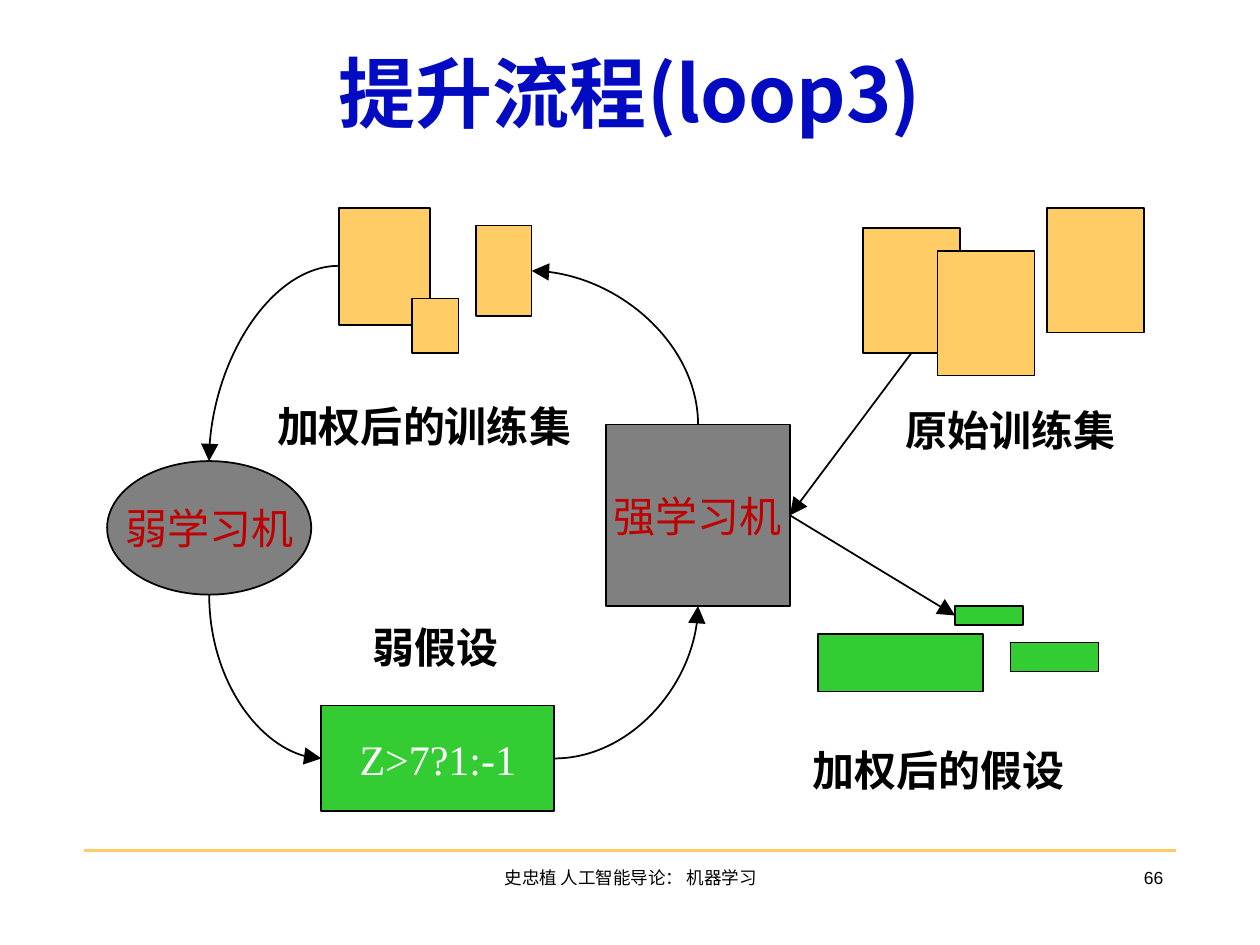
from dataclasses import dataclass

from lxml.etree import SubElement
from pptx import Presentation
from pptx.dml.color import RGBColor
from pptx.enum.shapes import MSO_CONNECTOR, MSO_SHAPE
from pptx.enum.text import MSO_ANCHOR, MSO_AUTO_SIZE, PP_ALIGN
from pptx.oxml.ns import qn
from pptx.util import Inches, Pt


@dataclass(frozen=True)
class Theme:
    blue: RGBColor = RGBColor(0x02, 0x0B, 0xC2)
    red: RGBColor = RGBColor(0xC0, 0x00, 0x00)
    gold: RGBColor = RGBColor(0xFF, 0xCC, 0x66)
    green: RGBColor = RGBColor(0x33, 0xCC, 0x33)
    gray: RGBColor = RGBColor(0x80, 0x80, 0x80)
    black: RGBColor = RGBColor(0, 0, 0)
    white: RGBColor = RGBColor(0xFF, 0xFF, 0xFF)
    title: Pt = Pt(44)
    body: Pt = Pt(24)
    footer: Pt = Pt(10)
    thin: Pt = Pt(1)
    rule: Pt = Pt(1.5)
    serif: str = "Times New Roman"
    sans: str = "Arial"
    cjk: str = "Noto Sans CJK SC"
    cjk_latin: str = "Noto Sans CJK JP"


T = Theme()


def write(sp, runs, align, frame, font):
    """Fill a shape with one paragraph; runs are (text, font name) pairs."""
    tf = sp.text_frame
    for name, value in frame.items():
        setattr(tf, name, value)
    p = tf.paragraphs[0]
    p.alignment = align
    for text, face in runs:
        r = p.add_run()
        r.text = text
        r.font.name = face
        r.font.color.rgb = font["color"]
        r.font.size = font["size"]
        r.font.bold = font.get("bold", False)
        SubElement(r.font._element, qn("a:ea")).set("typeface", T.cjk)


def connect(kind, start, end, color=T.black, width=T.thin, arrow=True):
    c = s.shapes.add_connector(kind, *(Inches(v) for v in start + end))
    c.line.color.rgb = color
    c.line.width = width
    if arrow:
        tail = SubElement(c.line._get_or_add_ln(), qn("a:tailEnd"))
        for name, value in {"type": "triangle", "w": "lg", "len": "lg"}.items():
            tail.set(name, value)
    SubElement(c._element.spPr, qn("a:effectLst"))
    return c


prs = Presentation()
prs.slide_width, prs.slide_height = Inches(10), Inches(7.5)
s = prs.slides.add_slide(prs.slide_layouts[6])

# Footer rule, title, footer and labels
connect(MSO_CONNECTOR.STRAIGHT, (0.67, 6.75), (9.33, 6.75), T.gold, T.rule, arrow=False)

wrapped = {"word_wrap": True}
fitted = {"word_wrap": False, "auto_size": MSO_AUTO_SIZE.SHAPE_TO_FIT_TEXT}
title_font = {"size": T.title, "color": T.blue, "bold": True}
footer_font = {"size": T.footer, "color": T.black}
label_font = {"size": T.body, "color": T.black, "bold": True}
texts = [
    ((0.5, 0.31, 9, 1.01), [("提升流程", T.cjk), ("(loop3)", T.cjk_latin)],
     PP_ALIGN.CENTER, wrapped, title_font),
    ((3.42, 6.83, 3.17, 0.5), [("史忠植 人工智能导论： 机器学习", T.sans)],
     PP_ALIGN.CENTER, wrapped, footer_font),
    ((7.25, 6.83, 2.08, 0.5), [("66", T.sans)], PP_ALIGN.RIGHT, wrapped, footer_font),
]
labels = [
    ("原始训练集", (7.09, 3.16, 1.88, 0.5)),
    ("加权后的训练集", (2.1, 3.13, 2.55, 0.5)),
    ("弱假设", (2.86, 4.88, 1.21, 0.5)),
    ("加权后的假设", (6.35, 5.86, 2.21, 0.5)),
]
texts += [(box, [(text, T.serif)], PP_ALIGN.LEFT, fitted, label_font) for text, box in labels]
for box, runs, align, frame, font in texts:
    write(s.shapes.add_textbox(*map(Inches, box)), runs, align, frame, font)

# Learners, training sets and hypotheses
RECT, OVAL = MSO_SHAPE.RECTANGLE, MSO_SHAPE.OVAL
nodes = [
    ("strong learner", RECT, T.gray, (4.81, 3.37, 1.46, 1.44), "强学习机", T.red),
    ("weak learner", OVAL, T.gray, (0.85, 3.66, 1.62, 1.06), "弱学习机", T.red),
    ("weak hypothesis", RECT, T.green, (2.55, 5.6, 1.85, 0.84), "Z>7?1:-1", T.white),
]
nodes += [(f"original set {i}", RECT, T.gold, (x, y, 0.77, 0.99), "", None)
          for i, (x, y) in enumerate([(6.85, 1.81), (7.44, 1.99), (8.31, 1.65)], 1)]
nodes += [(f"weighted set {i}", RECT, T.gold, box, "", None)
          for i, box in enumerate([(2.69, 1.65, 0.72, 0.93), (3.27, 2.37, 0.37, 0.43),
                                   (3.78, 1.79, 0.44, 0.72)], 1)]
nodes += [(f"weighted hypothesis {i}", RECT, T.green, box, "", None)
          for i, box in enumerate([(7.58, 4.81, 0.54, 0.15), (6.49, 5.03, 1.31, 0.46),
                                   (8.02, 5.1, 0.7, 0.23)], 1)]
centred = {"word_wrap": False, "vertical_anchor": MSO_ANCHOR.MIDDLE}
shapes = {}
for name, kind, fill, box, text, color in nodes:
    sp = s.shapes.add_shape(kind, *map(Inches, box))
    sp.shadow.inherit = False
    sp.fill.solid()
    sp.fill.fore_color.rgb = fill
    sp.line.color.rgb = T.black
    sp.line.width = T.thin
    if text:
        write(sp, [(text, T.serif)], PP_ALIGN.CENTER, centred, {"size": T.body, "color": color})
    shapes[name] = sp

# Straight arrows into and out of the strong learner
straight = [
    ((7.24, 2.8), (6.27, 4.09), ("original set 1", 2), ("strong learner", 3)),
    ((6.27, 4.09), (7.58, 4.89), ("strong learner", 3), ("weighted hypothesis 1", 1)),
]
for start, end, (source, out_site), (target, in_site) in straight:
    c = connect(MSO_CONNECTOR.STRAIGHT, start, end)
    c.begin_connect(shapes[source], out_site)
    c.end_connect(shapes[target], in_site)

# Curved loop: quarter arcs leave sideways unless turned to leave vertically
arcs = [
    ((5.54, 3.37), (4.22, 2.15), True),
    ((2.69, 2.11), (1.66, 3.66), False),
    ((1.66, 4.72), (2.55, 6.02), True),
    ((4.4, 6.02), (5.54, 4.81), False),
]
for start, end, vertical in arcs:
    c = connect(MSO_CONNECTOR.CURVE, start, end)
    c._element.spPr.find(qn("a:prstGeom")).set("prst", "curvedConnector2")
    if vertical:
        dx, dy = end[0] - start[0], end[1] - start[1]
        w, h = abs(dy), abs(dx)
        c.left = Inches((start[0] + end[0] - w) / 2)
        c.top = Inches((start[1] + end[1] - h) / 2)
        c.width, c.height = Inches(w), Inches(h)
        xfrm = c._element.spPr.find(qn("a:xfrm"))
        xfrm.rot, xfrm.flipH, xfrm.flipV = 270, dy > 0, dx < 0

prs.save("out.pptx")
